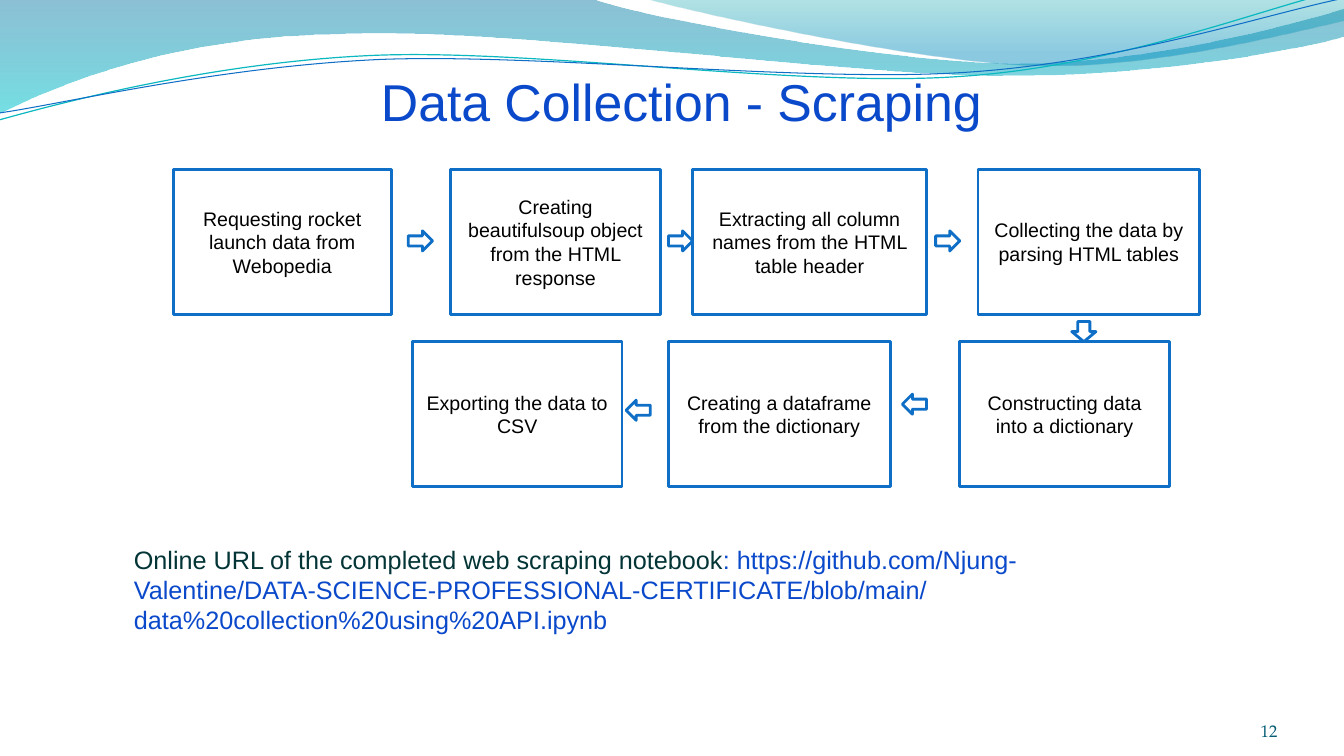
from lxml import etree
from pptx import Presentation
from pptx.dml.color import RGBColor
from pptx.enum.shapes import MSO_SHAPE
from pptx.enum.text import MSO_ANCHOR, MSO_AUTO_SIZE, PP_ALIGN
from pptx.oxml.ns import qn
from pptx.util import Inches, Pt

BLUE = RGBColor(0x0F, 0x6F, 0xC6)
TEAL = RGBColor(0x0A, 0xB8, 0xBF)
TITLE_BLUE = RGBColor(0x0B, 0x49, 0xCB)
DARK_TEAL = RGBColor(0x03, 0x34, 0x36)
NUMBER_TEAL = RGBColor(0x04, 0x5D, 0x75)
WHITE = RGBColor(0xFF, 0xFF, 0xFF)
BLACK = RGBColor(0, 0, 0)

# Wave outlines: a start, then straight (2 numbers) or cubic (6 numbers) steps.
# Gradient stops: position, colour, opacity in percent.
WAVE_FILLS = [
    ([(0, 0), (5.87, -0.01), (6.34, 0.17, 8.85, 0.63, 10.11, 0.63),
      (11.38, 0.63, 12.78, 0.26, 13.33, 0.09), (13.35, 0.36),
      (13.11, 0.44, 11.6, 0.76, 9.94, 0.75), (8.29, 0.75, 5.09, 0.28, 3.43, 0.34),
      (1.72, 0.36, 0.61, 0.83, -0.01, 1.13)],
     [(0, RGBColor(0x00, 0x74, 0xA1), 45), (1, RGBColor(0x00, 0xC6, 0xCF), 55)]),
    ([(6.39, -0.01), (6.79, 0.11, 9.09, 0.62, 10.25, 0.65),
      (11.41, 0.69, 12.82, 0.32, 13.33, 0.21), (13.33, 0)],
     [(0, RGBColor(0x00, 0xA1, 0xA9), 30), (0.8, RGBColor(0x00, 0x8B, 0xBF), 45)]),
]
WAVE_LINES = [
    ([(-0.01, 1.19), (0.64, 1.01, 2.11, 0.62, 3.69, 0.55),
      (5.27, 0.48, 7.9, 0.87, 9.5, 0.76), (11.1, 0.66, 12.52, 0.08, 13.31, -0.1)],
     TEAL, 0.85),
    ([(0, 1.12), (0.63, 1.03, 2.18, 0.66, 3.78, 0.59),
      (5.37, 0.53, 7.96, 0.82, 9.55, 0.72), (11.15, 0.62, 12.55, 0.14, 13.34, -0.02)],
     BLUE, 0.75),
]

# Steps: left and width within the flow, text
TOP_STEPS = [
    (0, 2.16, "Requesting rocket launch data from Webopedia"),
    (2.75, 2.08, "Creating beautifulsoup object from the HTML response"),
    (5.15, 2.32, "Extracting all column names from the HTML table header"),
    (7.98, 2.2, "Collecting the data by parsing HTML tables"),
]
BOTTOM_STEPS = [
    (2.37, 2.08, "Exporting the data to CSV"),
    (4.91, 2.2, "Creating a dataframe from the dictionary"),
    (7.8, 2.08, "Constructing data into a dictionary"),
]
# Arrows: left and top within the flow, shape
ARROWS = [
    (2.33, 0.61, MSO_SHAPE.RIGHT_ARROW),
    (4.91, 0.61, MSO_SHAPE.RIGHT_ARROW),
    (7.56, 0.61, MSO_SHAPE.RIGHT_ARROW),
    (8.91, 1.51, MSO_SHAPE.DOWN_ARROW),
    (7.23, 2.23, MSO_SHAPE.LEFT_ARROW),
    (4.49, 2.29, MSO_SHAPE.LEFT_ARROW),
]
STEP_HEIGHT, ROW_PITCH = 1.44, 1.71


def write(frame, *parts, size, font="Arial", align=PP_ALIGN.LEFT,
          anchor=MSO_ANCHOR.TOP, spacing=None):
    """Fill a text frame with one paragraph of (text, colour) parts."""
    frame.word_wrap = True
    frame.vertical_anchor = anchor
    paragraph = frame.paragraphs[0]
    paragraph.alignment = align
    if spacing:
        paragraph.line_spacing = spacing
    for text, color in parts:
        run = paragraph.add_run()
        run.text = text
        run.font.name = font
        run.font.size = Pt(size)
        run.font.color.rgb = color


def add_wave(slide, left, top, steps, close):
    """Draw the end points as a freeform, then bend its cubic steps."""
    ends = [(Inches(left + step[-2]), Inches(top + step[-1])) for step in steps]
    builder = slide.shapes.build_freeform(*ends[0], scale=1)
    builder.add_line_segments(ends[1:], close=close)
    wave = builder.convert_to_shape()
    wave.shadow.inherit = False
    segments = list(wave._element.spPr.iter(qn("a:lnTo")))
    for segment, step in zip(segments, steps[1:]):
        if len(step) == 6:
            segment.tag = qn("a:cubicBezTo")
            for i, (x, y) in enumerate([step[:2], step[2:4]]):
                control = etree.Element(
                    qn("a:pt"), x=str(Inches(left + x) - wave.left),
                    y=str(Inches(top + y) - wave.top))
                segment.insert(i, control)
    return wave


def add_waves(slide, left, top):
    # Translucent bands
    for steps, stops in WAVE_FILLS:
        band = add_wave(slide, left, top, steps, True)
        band.line.fill.background()
        band.fill.gradient()
        band.fill.gradient_angle = 270
        for stop, (position, color, _) in zip(band.fill.gradient_stops, stops):
            stop.position = position
            stop.color.rgb = color
        colors = band._element.spPr.iter(qn("a:srgbClr"))
        for element, (_, _, opacity) in zip(list(colors), stops):
            etree.SubElement(element, qn("a:alpha"), val=str(opacity * 1000))
    # Thin curves
    for steps, color, width in WAVE_LINES:
        curve = add_wave(slide, left, top, steps, False)
        curve.fill.background()
        curve.line.color.rgb = color
        curve.line.width = Pt(width)


def add_title(slide, left, top, width, height):
    title = slide.shapes.title
    title.left, title.top = Inches(left), Inches(top)
    title.width, title.height = Inches(width), Inches(height)
    title.text_frame.auto_size = MSO_AUTO_SIZE.NONE
    write(title.text_frame, ("Data Collection - Scraping", TITLE_BLUE), size=37,
          align=PP_ALIGN.CENTER, anchor=MSO_ANCHOR.MIDDLE, spacing=0.8)


def add_outlined(slide, kind, left, top, width, height):
    shape = slide.shapes.add_shape(
        kind, Inches(left), Inches(top), Inches(width), Inches(height))
    shape.shadow.inherit = False
    shape.fill.solid()
    shape.fill.fore_color.rgb = WHITE
    shape.line.color.rgb = BLUE
    shape.line.width = Pt(2)
    return shape


def add_flow(slide, left, top):
    # Two rows of steps
    for row, steps in enumerate([TOP_STEPS, BOTTOM_STEPS]):
        for x, width, text in steps:
            step = add_outlined(slide, MSO_SHAPE.RECTANGLE, left + x,
                                top + row * ROW_PITCH, width, STEP_HEIGHT)
            write(step.text_frame, (text, BLACK), size=14,
                  align=PP_ALIGN.CENTER, anchor=MSO_ANCHOR.MIDDLE)
    # Arrows between the steps
    for x, y, kind in ARROWS:
        add_outlined(slide, kind, left + x, top + y, 0.24, 0.2)


def add_text_box(slide, left, top, width, height):
    return slide.shapes.add_textbox(
        Inches(left), Inches(top), Inches(width), Inches(height)).text_frame


def add_notebook_link(slide, left, top, width, height):
    frame = add_text_box(slide, left, top, width, height)
    write(frame, ("Online URL of the completed web scraping notebook", DARK_TEAL),
          (": https://github.com/Njung-Valentine/DATA-SCIENCE-PROFESSIONAL-CERTIFICATE"
           "/blob/main/data%20collection%20using%20API.ipynb", TITLE_BLUE), size=18)


def add_page_number(slide, left, top, width, height):
    frame = add_text_box(slide, left, top, width, height)
    frame.margin_left = frame.margin_right = 0
    frame.margin_top = frame.margin_bottom = 0
    write(frame, ("12", NUMBER_TEAL), size=12, font="TeX Gyre Pagella",
          align=PP_ALIGN.RIGHT, anchor=MSO_ANCHOR.BOTTOM)


def main():
    deck = Presentation()
    deck.slide_width, deck.slide_height = Inches(13.33), Inches(7.5)
    slide = deck.slides.add_slide(deck.slide_layouts[5])
    add_waves(slide, 0, 0)
    add_title(slide, 1.01, 0.76, 11.5, 0.6)
    add_flow(slide, 1.72, 1.68)
    add_notebook_link(slide, 1.23, 5.35, 9.87, 1.01)
    add_page_number(slide, 11.56, 6.95, 1.11, 0.4)
    deck.save("out.pptx")


if __name__ == "__main__":
    main()
